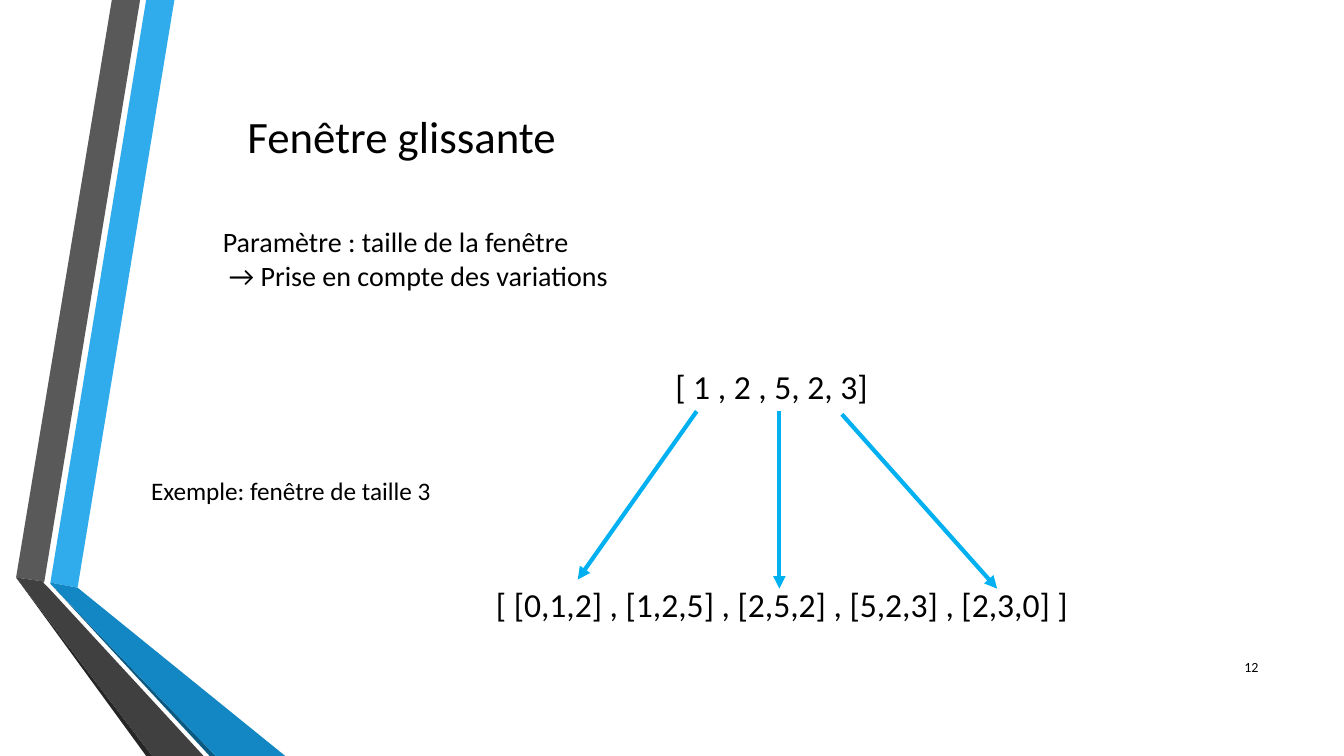
"""Build the sliding window slide."""
from lxml import etree
from pptx import Presentation
from pptx.dml.color import RGBColor
from pptx.enum import shapes, text
from pptx.oxml import ns
from pptx.util import Inches, Pt

BLACK = RGBColor(0x00, 0x00, 0x00)
ARROW_BLUE = RGBColor(0x00, 0xB0, 0xF0)
LIGHT_BLUE = RGBColor(0x30, 0xAC, 0xEC)
MID_BLUE = RGBColor(0x12, 0x87, 0xC3)
DARK_BLUE = RGBColor(0x0C, 0x5A, 0x82)
LIGHT_GREY = RGBColor(0x59, 0x59, 0x59)
MID_GREY = RGBColor(0x40, 0x40, 0x40)
DARK_GREY = RGBColor(0x26, 0x26, 0x26)

RIBBONS = [
    (LIGHT_BLUE, [(0.5, 5.78), (0.77, 5.83), (1.73, 0), (1.45, 0)]),
    (LIGHT_GREY, [(1.39, 0), (1.11, 0), (0.16, 5.73), (0.44, 5.77)]),
    (DARK_GREY, [(0.16, 5.73), (1.45, 7.5), (1.51, 7.5)]),
    (DARK_BLUE, [(0.5, 5.79), (2.08, 7.5), (2.14, 7.5)]),
    (MID_BLUE, [(0.5, 5.79), (2.14, 7.5), (2.83, 7.5), (0.77, 5.83), (0.5, 5.78)]),
    (MID_GREY, [(2.02, 7.5), (0.48, 5.83), (0.43, 5.78), (0.44, 5.77),
                (0.16, 5.73), (1.51, 7.5)]),
]
TITLE = ("Fenêtre glissante", (0.03, 1.03, 7.91, 0.64))
PARAMETER = (["Paramètre : taille de la fenêtre", "→ Prise en compte des variations"],
             (2.11, 2.18, 4.3, 0.77))
PARAMETER_INDENTS = [0, 0.06]
LABELS = [
    ("[ 1 , 2 , 5, 2, 3]", (6.6, 3.58, 3.23, 0.81), 24),
    ("[ [0,1,2] , [1,2,5] , [2,5,2] , [5,2,3] , [2,3,0] ]", (4.82, 5.74, 7.63, 0.91), 24),
    ("Exemple: fenêtre de taille 3", (1.4, 4.67, 3.5, 0.4), 18),
]
PAGE_NUMBER = ("12", (11.98, 6.42, 0.6, 0.4), 10)
ARROWS = [
    ((6.91, 4.08), (5.73, 5.75)),
    ((7.73, 4.08), (7.73, 5.84)),
    ((8.35, 4.11), (9.89, 5.84)),
]


def apply(target, **values):
    """Set each given attribute on the target."""
    for name, value in values.items():
        setattr(target, name, value)


def add_child(parent, tag, **attributes):
    """Append a DrawingML element to the parent."""
    return etree.SubElement(parent, ns.qn(tag), attributes)


def add_ribbon(slide, color, points):
    """Draw one filled polygon of the left decoration."""
    corners = [(Inches(x), Inches(y)) for x, y in points]
    builder = slide.shapes.build_freeform(*corners[0])
    builder.add_line_segments(corners[1:], close=True)
    shape = builder.convert_to_shape()
    shape.shadow.inherit = False
    shape.fill.solid()
    shape.fill.fore_color.rgb = color
    shape.line.fill.background()


def write(shape, lines, box, size, align=text.PP_ALIGN.LEFT,
          anchor=text.MSO_ANCHOR.TOP, indents=None):
    """Place a text shape and format its paragraphs."""
    apply(shape, **dict(zip(("left", "top", "width", "height"), map(Inches, box))))
    frame = shape.text_frame
    frame.text = "\n".join(lines)
    apply(frame, word_wrap=True, auto_size=text.MSO_AUTO_SIZE.NONE, vertical_anchor=anchor)
    for index, paragraph in enumerate(frame.paragraphs):
        apply(paragraph, alignment=align, space_before=Pt(0))
        if indents:
            properties = paragraph._p.get_or_add_pPr()
            properties.set("marL", str(Inches(indents[index])))
            properties.set("indent", "0")
            add_child(properties, "a:buNone")
        apply(paragraph.font, name="Calibri", size=Pt(size))
        paragraph.font.color.rgb = BLACK


def add_label(slide, words, box, size, **layout):
    """Add a one-line text box."""
    write(slide.shapes.add_textbox(0, 0, 0, 0), [words], box, size, **layout)


def add_arrow(slide, start, end):
    """Draw an arrow between two points."""
    connector = slide.shapes.add_connector(
        shapes.MSO_CONNECTOR.STRAIGHT, *map(Inches, start + end))
    connector.line.color.rgb = ARROW_BLUE
    connector.line.width = Pt(3)
    add_child(connector.line._get_or_add_ln(), "a:tailEnd", type="triangle")
    add_child(connector._element.spPr, "a:effectLst")


def main():
    """Assemble and save the presentation."""
    presentation = Presentation()
    apply(presentation, slide_width=Inches(13.33), slide_height=Inches(7.5))
    slide = presentation.slides.add_slide(presentation.slide_layouts[1])
    for color, points in RIBBONS:
        add_ribbon(slide, color, points)
    title, title_box = TITLE
    write(slide.shapes.title, [title], title_box, 32, align=text.PP_ALIGN.CENTER)
    lines, parameter_box = PARAMETER
    write(slide.placeholders[1], lines, parameter_box, 20, indents=PARAMETER_INDENTS)
    for label in LABELS:
        add_label(slide, *label)
    add_label(slide, *PAGE_NUMBER, align=text.PP_ALIGN.RIGHT, anchor=text.MSO_ANCHOR.MIDDLE)
    for start, end in ARROWS:
        add_arrow(slide, start, end)
    presentation.save("out.pptx")


if __name__ == "__main__":
    main()
